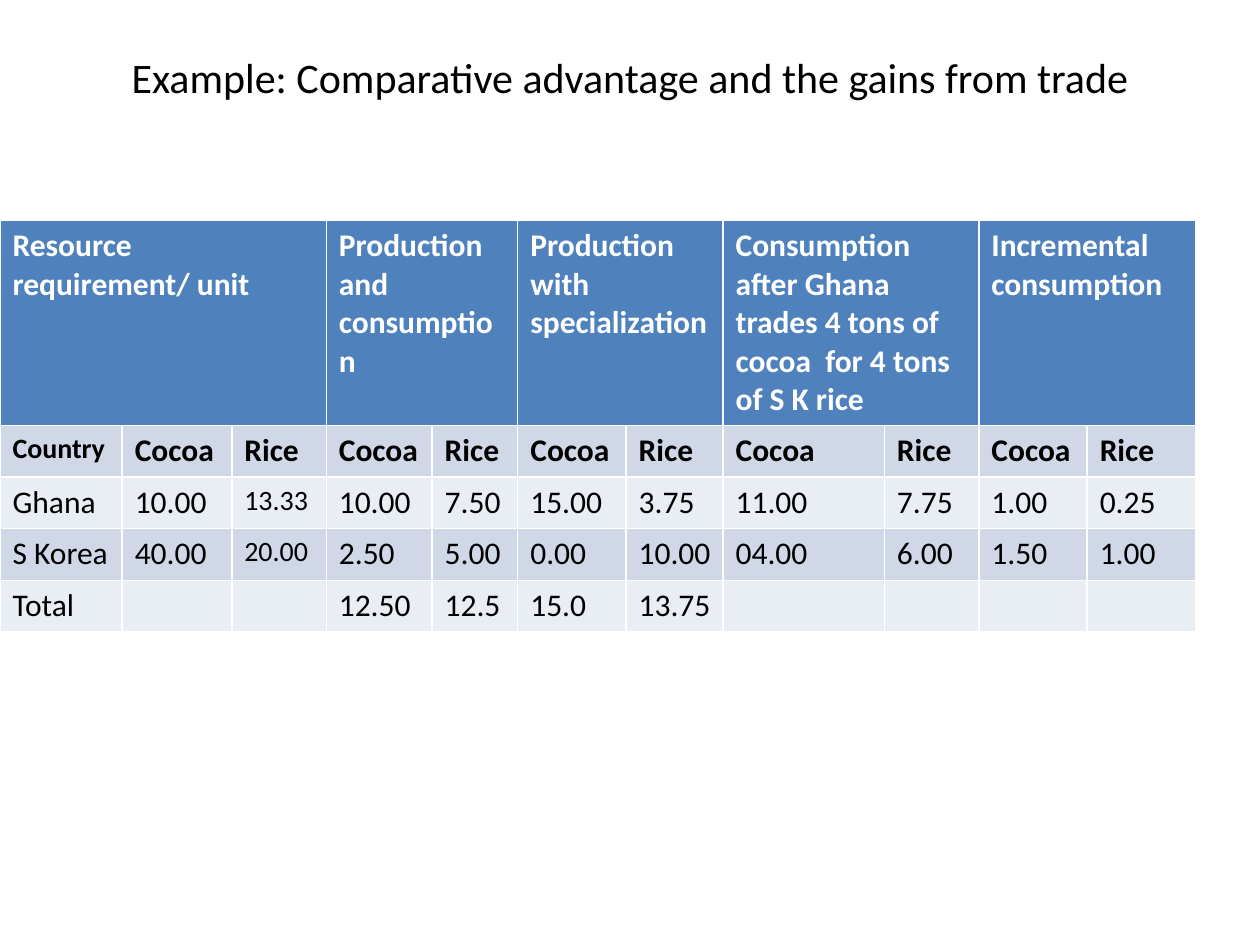
from dataclasses import dataclass

from pptx import Presentation
from pptx.dml.color import RGBColor
from pptx.enum.text import MSO_ANCHOR, PP_ALIGN
from pptx.util import Inches, Pt

MIDDLE = MSO_ANCHOR.MIDDLE
CENTER = PP_ALIGN.CENTER
TITLE_ONLY = 5

BLACK, WHITE = "000000", "FFFFFF"
HEADER_FILL = "4F81BD"
BAND_FILLS = ("D0D8E8", "E9EDF4")

COLUMN_WIDTHS = (0.97, 0.87, 0.75, 0.84, 0.68, 0.86, 0.77, 1.28, 0.75, 0.86, 0.86)
HEADER_HEIGHT, ROW_HEIGHT = 1.58, 0.41
SMALL_CELLS = {(1, 0), (2, 2), (3, 2)}


@dataclass(frozen=True)
class HeaderGroup:
    text: str
    span: int


HEADER_GROUPS = (
    HeaderGroup("Resource requirement/ unit", 3),
    HeaderGroup("Production and consumption", 2),
    HeaderGroup("Production with specialization", 2),
    HeaderGroup("Consumption after Ghana trades 4 tons of cocoa  for 4 tons of S K rice", 2),
    HeaderGroup("Incremental consumption", 2),
)

BODY_ROWS = (
    ("Country",) + ("Cocoa", "Rice") * 5,
    ("Ghana", "10.00", "13.33", "10.00", "7.50", "15.00", "3.75", "11.00", "7.75", "1.00", "0.25"),
    ("S Korea", "40.00", "20.00", "2.50", "5.00", "0.00", "10.00", "04.00", "6.00", "1.50", "1.00"),
    ("Total", "", "", "12.50", "12.5", "15.0", "13.75", "", "", "", ""),
)


def color(hex_value: str) -> RGBColor:
    return RGBColor.from_string(hex_value)


def format_font(font, hex_value: str, **values) -> None:
    for name, value in {"name": "Calibri", **values}.items():
        setattr(font, name, value)
    font.color.rgb = color(hex_value)


def fill_cell(cell, text: str, fill: str, text_color: str, size: int, bold: bool) -> None:
    cell.fill.solid()
    cell.fill.fore_color.rgb = color(fill)
    cell.text = text
    paragraph = cell.text_frame.paragraphs[0]
    for target in (paragraph, *paragraph.runs):
        format_font(target.font, text_color, size=Pt(size), bold=bold)


def add_title(slide, text: str) -> None:
    title = slide.shapes.title
    position = {"left": 0.5, "top": 0.3, "width": 9, "height": 0.62}
    for name, value in position.items():
        setattr(title, name, Inches(value))
    title.text_frame.text = text
    title.text_frame.vertical_anchor = MIDDLE
    paragraph = title.text_frame.paragraphs[0]
    paragraph.alignment = CENTER
    format_font(paragraph.runs[0].font, BLACK, size=Pt(24))


def add_trade_table(slide) -> None:
    row_heights = [HEADER_HEIGHT] + [ROW_HEIGHT] * len(BODY_ROWS)
    table = slide.shapes.add_table(
        len(row_heights), len(COLUMN_WIDTHS),
        Inches(0), Inches(1.75), Inches(sum(COLUMN_WIDTHS)), Inches(sum(row_heights)),
    ).table
    for column, width in zip(table.columns, COLUMN_WIDTHS):
        column.width = Inches(width)
    for row, height in zip(table.rows, row_heights):
        row.height = Inches(height)

    start = 0
    for group in HEADER_GROUPS:
        cell = table.cell(0, start)
        cell.merge(table.cell(0, start + group.span - 1))
        fill_cell(cell, group.text, HEADER_FILL, WHITE, 18, True)
        start += group.span

    for row_index, values in enumerate(BODY_ROWS, start=1):
        fill = BAND_FILLS[(row_index - 1) % 2]
        for column_index, text in enumerate(values):
            size = 16 if (row_index, column_index) in SMALL_CELLS else 18
            cell = table.cell(row_index, column_index)
            fill_cell(cell, text, fill, BLACK, size, row_index == 1)


def main() -> None:
    presentation = Presentation()
    presentation.slide_width = Inches(10)
    presentation.slide_height = Inches(7.5)
    slide = presentation.slides.add_slide(presentation.slide_layouts[TITLE_ONLY])
    add_title(slide, "Example: Comparative advantage and the gains from trade")
    add_trade_table(slide)
    presentation.save("out.pptx")


if __name__ == "__main__":
    main()
